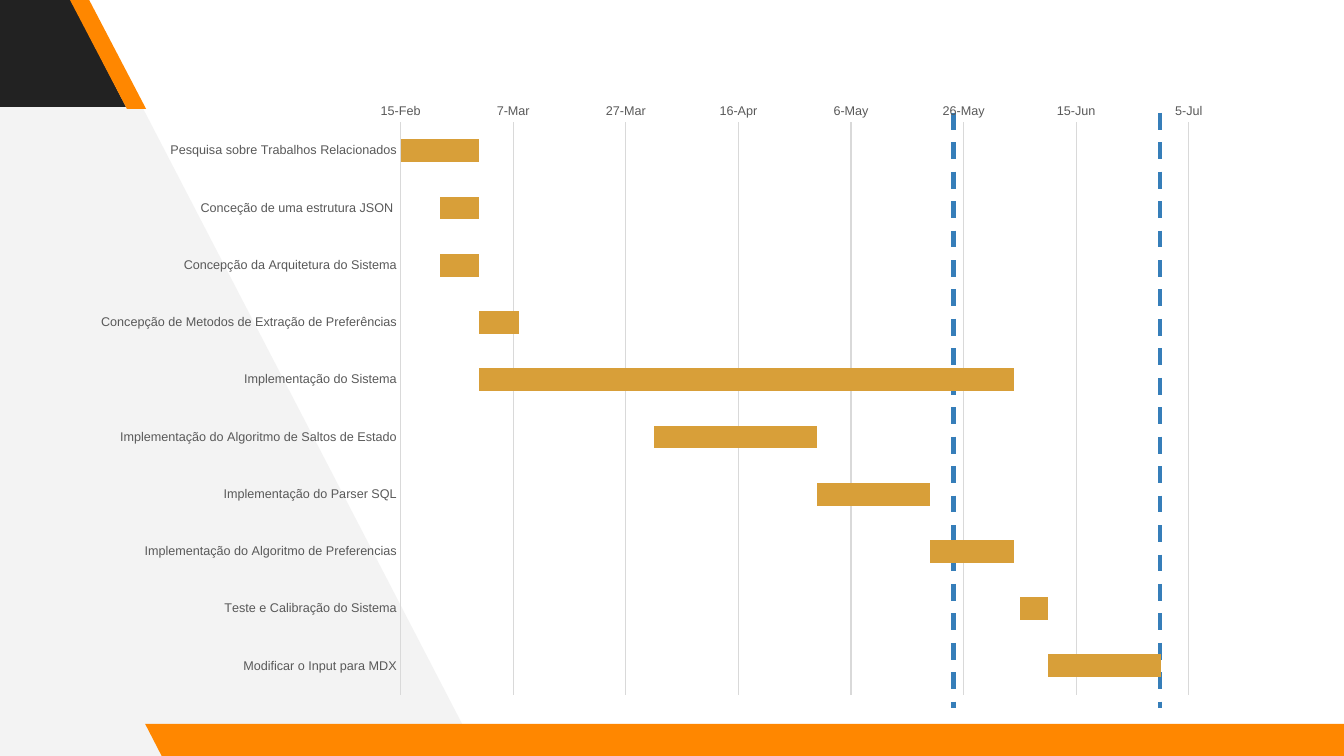
"""Build a project schedule slide with a Gantt chart on stacked bars."""
from lxml import etree
from pptx import Presentation
from pptx.chart.data import CategoryChartData
from pptx.dml.color import RGBColor
from pptx.enum.chart import XL_CHART_TYPE, XL_TICK_MARK
from pptx.enum.dml import MSO_LINE
from pptx.enum.shapes import MSO_CONNECTOR, MSO_SHAPE
from pptx.oxml.ns import qn
from pptx.util import Pt

STACKED = XL_CHART_TYPE.BAR_STACKED
NO_TICK = XL_TICK_MARK.NONE
DASH = MSO_LINE.DASH
STRAIGHT = MSO_CONNECTOR.STRAIGHT
SLANT = MSO_SHAPE.PARALLELOGRAM

PALE = RGBColor(0xF3, 0xF3, 0xF3)
DARK = RGBColor(0x22, 0x22, 0x22)
ORANGE = RGBColor(0xFF, 0x87, 0x00)
BLUE = RGBColor(0x36, 0x7E, 0xB9)
GOLD = RGBColor(0xD8, 0x9F, 0x39)
GRID = RGBColor(0xD9, 0xD9, 0xD9)
GREY = RGBColor(0x59, 0x59, 0x59)
BLACK = RGBColor(0, 0, 0)

FIRST_DAY, SPAN, STEP = 42781, 144, 20
TASKS = [
    ("Pesquisa sobre Trabalhos Relacionados", 0, 14),
    ("Conceção de uma estrutura JSON ", 7, 7),
    ("Concepção da Arquitetura do Sistema", 7, 7),
    ("Concepção de Metodos de Extração de Preferências", 14, 7),
    ("Implementação do Sistema", 14, 95),
    ("Implementação do Algoritmo de Saltos de Estado", 45, 29),
    ("Implementação do Parser SQL", 74, 20),
    ("Implementação do Algoritmo de Preferencias", 94, 15),
    ("Teste e Calibração do Sistema", 110, 5),
    ("Modificar o Input para MDX", 115, 20),
]
WEDGE = [(342, 540), (59.8, -4.3), (-5.8, -3.6), (-2.2, 543.6)]
SLANTS = [
    (-95, -2.2, 185, 78.5, 0.515, DARK),
    (49.7, -0.7, 54.7, 78.5, 0.75, ORANGE),
    (103.7, 517, 878.4, 23.8, 0.515, ORANGE),
]
MARKS = [828.7, 681.1]
MARK_TOP, MARK_END = 80.6, 505.4
CHART_BOX = (56.2, 63.4, 827.3, 442.1)
PLOT = {"x": 0.278, "y": 0.054, "w": 0.7, "h": 0.925}


def paint(shape, color):
    shape.shadow.inherit = False
    shape.fill.solid()
    shape.fill.fore_color.rgb = color
    shape.line.fill.background()


def set_font(font, size, color):
    font.name = "Arial"
    font.size = Pt(size)
    font.color.rgb = color


def set_line(line, color, width):
    line.color.rgb = color
    line.width = Pt(width)


def add_decor(shapes):
    start, *rest = [(Pt(x), Pt(y)) for x, y in WEDGE]
    outline = shapes.build_freeform(*start)
    outline.add_line_segments(rest, close=True)
    paint(outline.convert_to_shape(), PALE)
    for x, y, w, h, slope, color in SLANTS:
        band = shapes.add_shape(SLANT, Pt(x), Pt(y), Pt(w), Pt(h))
        band.adjustments[0] = slope
        band._element.spPr.find(qn("a:xfrm")).set("flipH", "1")
        paint(band, color)


def add_marks(shapes):
    for x in MARKS:
        mark = shapes.add_connector(
            STRAIGHT, Pt(x), Pt(MARK_TOP), Pt(x), Pt(MARK_END))
        set_line(mark.line, BLUE, 3)
        mark.line.dash_style = DASH
        etree.SubElement(mark._element.spPr, qn("a:effectLst"))


def set_plot(chart):
    area = chart._chartSpace.chart.plotArea
    for old in area.findall(qn("c:layout")):
        area.remove(old)
    layout = etree.Element(qn("c:layout"))
    manual = etree.SubElement(layout, qn("c:manualLayout"))
    rules = {"layoutTarget": "inner", "xMode": "edge", "yMode": "edge", **PLOT}
    for tag, value in rules.items():
        etree.SubElement(manual, qn("c:" + tag)).set("val", str(value))
    area.insert(0, layout)


def add_gantt(shapes):
    names, starts, days = zip(*TASKS)
    data = CategoryChartData()
    data.categories = names
    data.add_series("Series 1", [FIRST_DAY + start for start in starts])
    data.add_series("Series 2", days)
    box = [Pt(side) for side in CHART_BOX]
    chart = shapes.add_chart(STACKED, *box, data).chart
    chart.has_legend = False
    chart.has_title = False
    set_font(chart.font, 10, BLACK)
    set_plot(chart)

    plot = chart.plots[0]
    plot.gap_width = 150
    plot.overlap = 100
    plot.vary_by_categories = False
    offset, bars = plot.series
    offset.format.fill.background()
    offset.format.line.fill.background()
    bars.format.fill.solid()
    bars.format.fill.fore_color.rgb = GOLD

    rows, dates = chart.category_axis, chart.value_axis
    for axis in (rows, dates):
        axis.major_tick_mark = NO_TICK
        axis.minor_tick_mark = NO_TICK
        set_font(axis.tick_labels.font, 9, GREY)
    rows.reverse_order = True
    set_line(rows.format.line, GRID, 0.75)
    dates.minimum_scale = FIRST_DAY
    dates.maximum_scale = FIRST_DAY + SPAN
    dates.major_unit = STEP
    dates.format.line.fill.background()
    dates.has_major_gridlines = True
    set_line(dates.major_gridlines.format.line, GRID, 0.75)
    dates.tick_labels.number_format = "d\\-mmm"
    dates.tick_labels.number_format_is_linked = False


def main():
    deck = Presentation()
    deck.slide_width, deck.slide_height = Pt(960), Pt(540)
    slide = deck.slides.add_slide(deck.slide_layouts[6])
    add_decor(slide.shapes)
    add_marks(slide.shapes)
    add_gantt(slide.shapes)
    deck.save("out.pptx")


if __name__ == "__main__":
    main()
